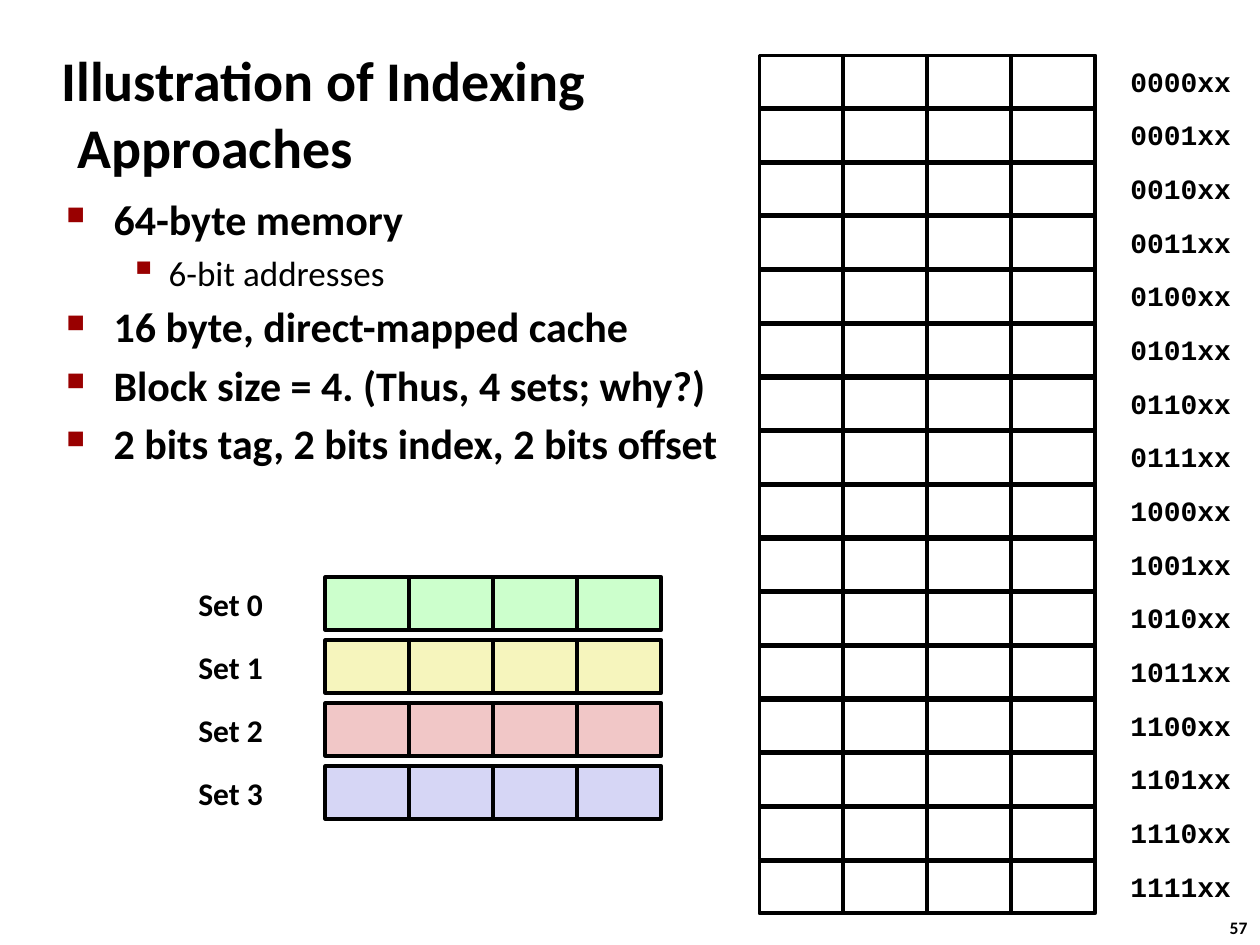
from dataclasses import dataclass
from lxml import etree
from pptx import Presentation
from pptx.dml.color import RGBColor
from pptx.enum.shapes import MSO_SHAPE
from pptx.enum.text import MSO_ANCHOR, PP_ALIGN
from pptx.oxml.ns import qn
from pptx.slide import Slide
from pptx.util import Cm, Pt

RECT = MSO_SHAPE.RECTANGLE
MIDDLE = MSO_ANCHOR.MIDDLE
TOP = MSO_ANCHOR.TOP
CENTER = PP_ALIGN.CENTER
LEFT = PP_ALIGN.LEFT

COLORS = {
    "ink": "000000",
    "bullet": "990000",
    "green": "CCFFCC",
    "yellow": "F6F5BD",
    "red": "F1C7C7",
    "blue": "D6D6F5",
}
SANS = "Calibri"
MONO = "Courier New"
COLS = 4
CELL_W = Cm(6.77) // COLS
CELL_H = Cm(1.06)


@dataclass
class Box:
    left: float
    top: float
    width: float
    height: float


@dataclass
class Style:
    size: float
    font: str = SANS
    bold: bool = True
    anchor: MSO_ANCHOR = MIDDLE
    align: PP_ALIGN = CENTER
    wrap: bool = True


@dataclass
class Level:
    mark: str
    scale: int
    margin: float
    hang: float
    size: int
    bold: bool
    space: float


@dataclass
class Point:
    text: str
    level: int = 0


LEVELS = [
    Level("■", 60, 0.95, 0.95, 24, True, 4.5),
    Level("▪", 110, 2.06, 0.79, 20, False, 4),
]
POINTS = [
    Point("64-byte memory"),
    Point("6-bit addresses", 1),
    Point("16 byte, direct-mapped cache"),
    Point("Block size = 4. (Thus, 4 sets; why?)"),
    Point("2 bits tag, 2 bits index, 2 bits offset"),
]


def color(name: str) -> RGBColor:
    return RGBColor.from_string(COLORS[name])


def set_font(para, size: float, face: str, bold: bool) -> None:
    for run in para.runs:
        run.font.size = Pt(size)
        run.font.name = face
        run.font.bold = bold
        run.font.color.rgb = color("ink")


def set_indent(para, margin: float, hang: float) -> None:
    props = para._p.get_or_add_pPr()
    props.set("marL", str(Cm(margin)))
    props.set("indent", str(-Cm(hang)))


def add_text(slide: Slide, box: Box, text: str, style: Style):
    shape = slide.shapes.add_textbox(
        Cm(box.left), Cm(box.top), Cm(box.width), Cm(box.height))
    frame = shape.text_frame
    frame.word_wrap = style.wrap
    frame.vertical_anchor = style.anchor
    frame.text = text
    for para in frame.paragraphs:
        para.alignment = style.align
        set_font(para, style.size, style.font, style.bold)
    return frame


def add_bullet(para, level: Level) -> None:
    set_indent(para, level.margin, level.hang)
    props = para._p.get_or_add_pPr()
    tint = etree.SubElement(props, qn("a:buClr"))
    etree.SubElement(tint, qn("a:srgbClr"), val=COLORS["bullet"])
    etree.SubElement(props, qn("a:buSzPct"), val=str(level.scale * 1000))
    etree.SubElement(props, qn("a:buChar"), char=level.mark)


def add_points(slide: Slide, box: Box, points: list[Point]) -> None:
    text = "\n".join(point.text for point in points)
    frame = add_text(slide, box, text, Style(24, anchor=TOP, align=LEFT))
    for row, (para, point) in enumerate(zip(frame.paragraphs, points)):
        level = LEVELS[point.level]
        para.level = point.level
        add_bullet(para, level)
        if row:
            para.space_before = Pt(level.space)
        set_font(para, level.size, SANS, level.bold)


def add_row(slide: Slide, left: float, top: float, fill: str = "") -> None:
    group = slide.shapes.add_group_shape()
    for col in range(COLS):
        cell = group.shapes.add_shape(
            RECT, Cm(left) + col * CELL_W, Cm(top), CELL_W, CELL_H)
        cell.shadow.inherit = False
        if fill:
            cell.fill.solid()
            cell.fill.fore_color.rgb = color(fill)
        else:
            cell.fill.background()
        cell.line.color.rgb = color("ink")
        cell.line.width = Pt(2.25)


def add_cache(slide: Slide) -> None:
    for row, fill in enumerate(["green", "yellow", "red", "blue"]):
        top = 11.64 + 1.27 * row
        add_row(slide, 6.56, top, fill)
        add_text(slide, Box(3.38, top, 2.54, 1.06), f"Set {row}", Style(18))


def add_memory(slide: Slide) -> None:
    first, last, count = 1.12, 17.35, 16
    step = (last - first) / (count - 1)
    for row in range(count):
        top = first + step * row
        add_row(slide, 15.31, top)
        add_text(slide, Box(22.43, top - 0.02, 2.74, 1.06),
                 f"{row:04b}xx", Style(16, MONO))


def main() -> None:
    deck = Presentation()
    deck.slide_width = Cm(25.4)
    deck.slide_height = Cm(19.05)
    slide = deck.slides.add_slide(deck.slide_layouts[6])
    title = add_text(slide, Box(0.99, 1.22, 13.82, 2.11),
                     "Illustration of Indexing Approaches",
                     Style(32, align=LEFT))
    set_indent(title.paragraphs[0], 0.33, 0.33)
    add_points(slide, Box(1.09, 3.78, 16.26, 3), POINTS)
    add_cache(slide)
    add_memory(slide)
    add_text(slide, Box(24.54, 18.36, 0.94, 0.69), "57",
             Style(10, anchor=TOP, align=LEFT, wrap=False))
    deck.save("out.pptx")


if __name__ == "__main__":
    main()
